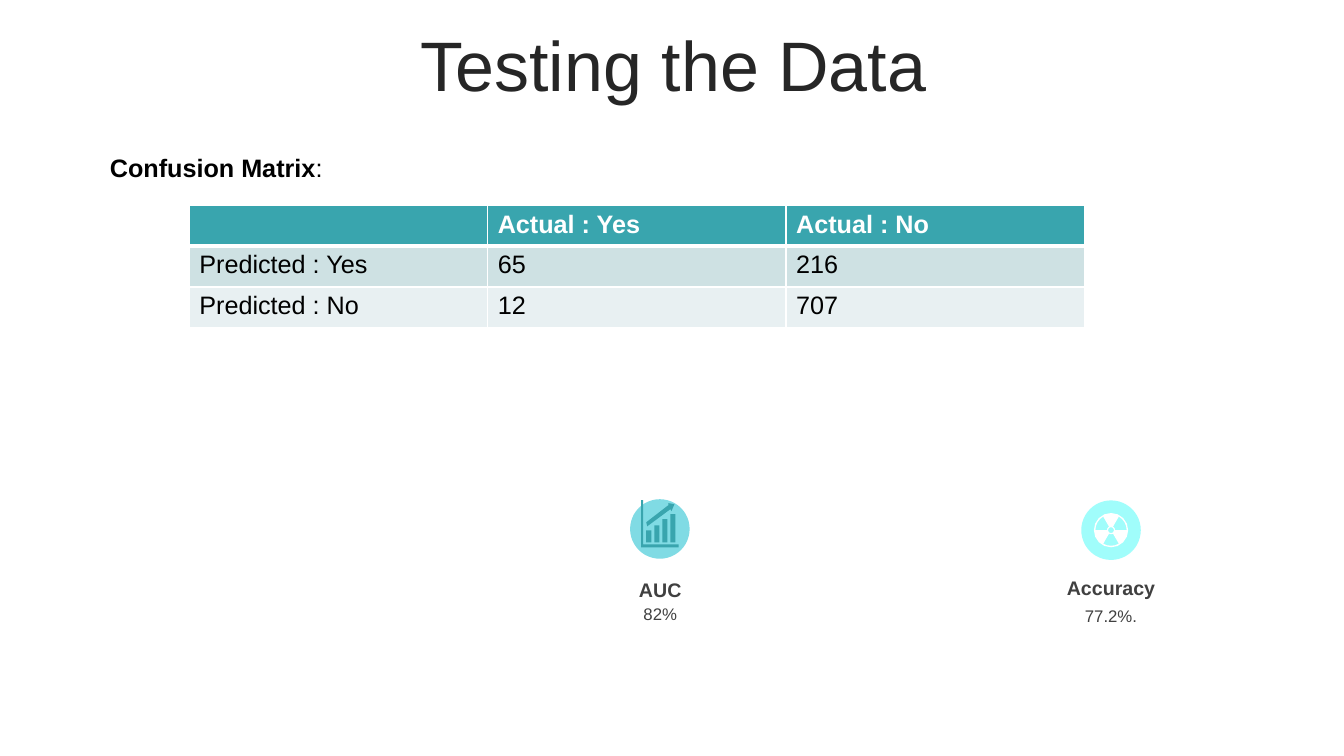
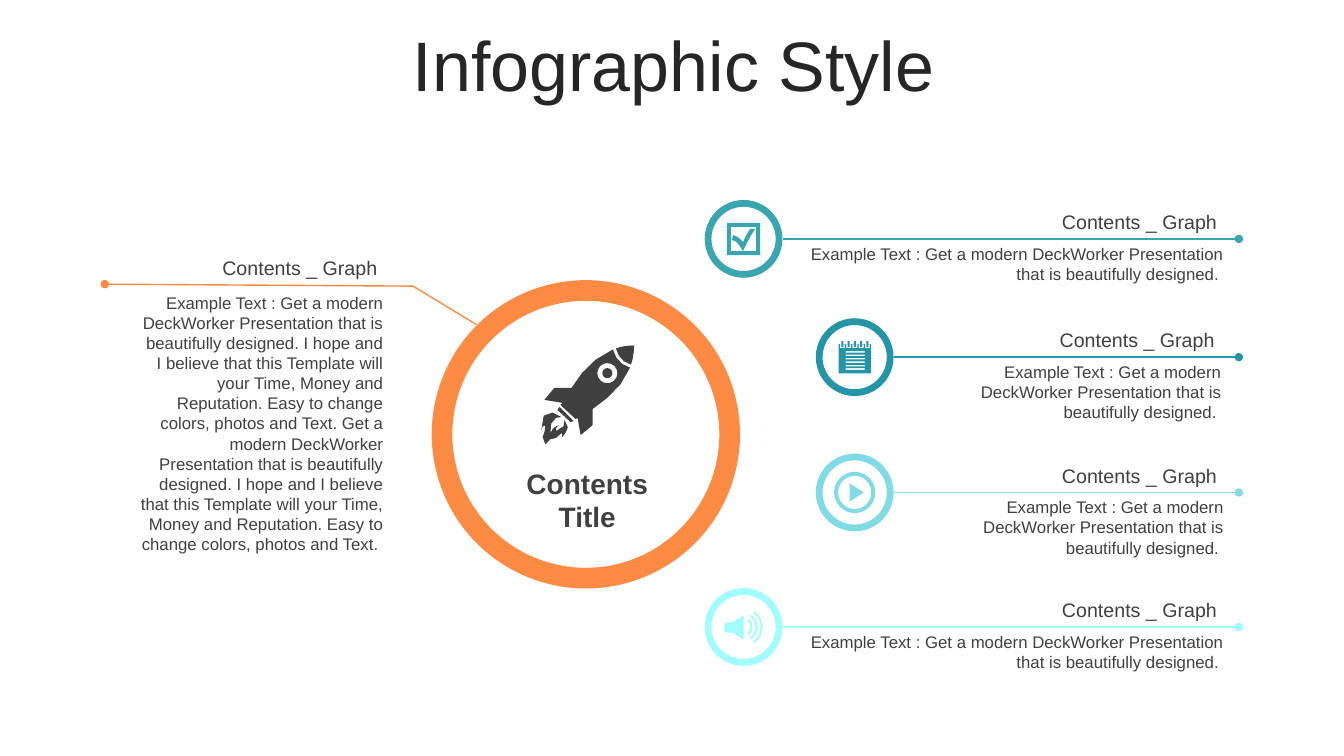
from math import cos, radians, sin

from lxml import etree
from pptx import Presentation
from pptx.dml.color import RGBColor
from pptx.enum.shapes import MSO_CONNECTOR, MSO_SHAPE
from pptx.enum.text import MSO_ANCHOR, MSO_AUTO_SIZE, PP_ALIGN
from pptx.oxml.ns import qn
from pptx.util import Cm, Pt

LEFT, CENTER, RIGHT = PP_ALIGN.LEFT, PP_ALIGN.CENTER, PP_ALIGN.RIGHT
TOP, MIDDLE = MSO_ANCHOR.TOP, MSO_ANCHOR.MIDDLE
NO_FIT = MSO_AUTO_SIZE.NONE
OVAL, DONUT = MSO_SHAPE.OVAL, MSO_SHAPE.DONUT
STRAIGHT = MSO_CONNECTOR.STRAIGHT

FONT = "Arial"
INK, GRAY, BLACK, WHITE = "262626", "404040", "000000", "FFFFFF"
TEAL, DEEP, SKY, AQUA, ORANGE = "39A5AE", "2395A6", "80DBE4", "A0FDFB", "FE8B44"
BANDS = (TEAL, "CEE1E3", "E8F0F2")
GRID = 2.54 / 100

HEAD = "Contents _ Graph "
PITCH = "Get a modern DeckWorker Presentation that is beautifully designed. "
MORE = ("I hope and I believe that this Template will your Time, Money and "
        "Reputation. Easy to change colors, photos and Text. ")
SHORT = f"Example Text : {PITCH}"
LONG = f"{SHORT}{MORE}{PITCH}{MORE}"


def color(code):
    return RGBColor.from_string(code)


def box(x, y, w, h):
    return [(x, y), (x + w, y), (x + w, y + h), (x, y + h)]


def arc(x, y, r, start, end, steps):
    turns = [radians(start + (end - start) * i / steps) for i in range(steps + 1)]
    return [(x + r * cos(t), y + r * sin(t)) for t in turns]


def ring(x, y, r, steps=16):
    return arc(x, y, r, 0, 360, steps)[:-1]


def sector(x, y, inner, outer, start, end):
    return arc(x, y, outer, start, end, 4) + arc(x, y, inner, end, start, 4)


def trace(*parts):
    points = []
    for part in parts:
        if len(part) == 2:
            points.append(part)
            continue
        a, b = points[-1]
        c, d, e, f, g, h = part
        for i in range(1, 4):
            t = i / 3
            u = 1 - t
            k = (u ** 3, 3 * u * u * t, 3 * u * t * t, t ** 3)
            points.append((
                k[0] * a + k[1] * c + k[2] * e + k[3] * g,
                k[0] * b + k[1] * d + k[2] * f + k[3] * h,
            ))
    return points


BARS = [
    *(box(5 + 8 * i, 42 - h, 5, h) for i, h in enumerate((12, 17, 23, 28))),
    [(27, 3), (33, 4), (30, 11), (29, 9), (6, 26), (5, 22), (27, 5)],
    [(0, 0), (2, 0), (2, 44), (37, 44), (37, 47), (0, 47)],
]
ATOM = [
    ring(17, 17, 17),
    ring(17, 17, 3, 8),
    *(sector(17, 17, 4, 15.5, a, a + 60) for a in (60, 180, 300)),
]
CHECK = [
    box(0, 0, 33, 32),
    trace(
        (4, 4), (4, 28), (16, 28), (13, 24, 10, 17, 5, 17), (6, 12),
        (12, 14, 13, 16, 16, 19), (18, 14, 20, 11, 23, 6), (28, 6),
        (24, 12, 19, 21, 16, 28), (29, 28), (29, 4),
    ),
]
NOTE = [
    box(0, 3, 32, 29),
    *(box(7, 10 + 3.4 * i, 19, 1.5) for i in range(6)),
    *(box(1.3 + 6.2 * i, 3, 5, 4) for i in range(5)),
    *(box(2.8 + 6.2 * i, 0, 2, 6) for i in range(5)),
]
PLAY = [ring(20, 20, 20.5, 24), ring(20, 20, 16.5, 24), [(15, 11), (29, 20), (15, 29)]]
SOUND = [
    trace(
        (19, 8), (19, 32), (8, 25), (3, 25), (1, 25, 0, 24, 0, 22),
        (0, 18), (0, 16, 1, 15, 3, 15), (8, 15),
    ),
    *(sector(18, 19.5, r, r + 2, -53, 53) for r in (8, 13, 18)),
]
ROCKET = [
    trace(
        (20, 71), (15, 69, 7, 76, 9, 87), (11, 81, 15, 80, 18, 79),
        (17, 80, 13, 81, 15, 85), (18, 80, 24, 84, 23, 74),
        (30, 83, 24, 85, 21, 91), (20, 90, 21, 84, 20, 87),
        (15, 96, 8, 89, 4, 98), (-3, 90, 6, 85, 4, 80),
        (3, 79, 1, 79, 0, 84), (-3, 63, 13, 64, 20, 71),
    ),
    [(18, 61), (32, 75), (29, 76), (16, 64)],
    ring(65.5, 27.5, 5),
    ring(65.5, 27.5, 10),
    trace(
        (71, 4), (73, 13, 80, 20, 88, 22), (81, 41, 65, 53, 51, 63), (51, 79),
        (39, 89), (36, 72), (34, 73), (19, 59), (21, 57), (3, 54), (13, 42),
        (30, 42), (39, 27, 52, 12, 71, 4),
    ),
    trace(
        (92, 0), (92, 7, 91, 13, 89, 19), (81, 17, 76, 11, 74, 3),
        (79, 1, 85, 0, 92, 0),
    ),
]


class Deck:
    def __init__(self):
        self.file = Presentation()
        self.file.slide_width, self.file.slide_height = Cm(33.87), Cm(19.05)
        self.slide = None

    def style(self, line, size, code, bold=False, align=LEFT):
        line.alignment = align
        font = line.font
        font.name, font.size, font.bold = FONT, Pt(size), bold
        font.color.rgb = color(code)

    def start(self, title):
        self.slide = self.file.slides.add_slide(self.file.slide_layouts[5])
        shape = self.slide.shapes.title
        shape.left, shape.top = Cm(0.9), Cm(0.79)
        shape.width, shape.height = Cm(32.16), Cm(2.01)
        frame = shape.text_frame
        frame.text = title
        frame.auto_size = NO_FIT
        frame.vertical_anchor = MIDDLE
        line = frame.paragraphs[0]
        line.line_spacing, line.space_before = 0.8, Pt(10)
        self.style(line, 50, INK, align=CENTER)

    def text(self, x, y, w, h, words, size, code=GRAY, bold=False,
             align=CENTER, anchor=TOP):
        frame = self.slide.shapes.add_textbox(Cm(x), Cm(y), Cm(w), Cm(h)).text_frame
        frame.word_wrap = True
        frame.vertical_anchor = anchor
        frame.text = words
        for line in frame.paragraphs:
            self.style(line, size, code, bold, align)
        return frame.paragraphs[-1]

    def paint(self, shape, code):
        shape.shadow.inherit = False
        shape.fill.solid()
        shape.fill.fore_color.rgb = color(code)
        shape.line.fill.background()

    def round(self, x, y, size, code, rim=None):
        kind = DONUT if rim else OVAL
        shape = self.slide.shapes.add_shape(kind, Cm(x), Cm(y), Cm(size), Cm(size))
        if rim:
            shape.adjustments[0] = rim
        self.paint(shape, code)

    def icon(self, x, y, paths, code):
        spots = [spot for path in paths for spot in path]
        mid_x, mid_y = ((min(v) + max(v)) / 2 for v in zip(*spots))
        loops = [
            [(Cm(x + (a - mid_x) * GRID), Cm(y + (b - mid_y) * GRID)) for a, b in path]
            for path in paths
        ]
        pen = self.slide.shapes.build_freeform(*loops[0][0])
        for i, loop in enumerate(loops):
            if i:
                pen.move_to(*loop[0])
            pen.add_line_segments(loop[1:], close=True)
        self.paint(pen.convert_to_shape(), code)

    def line(self, x, y, to_x, to_y, code, dot=None):
        rule = self.slide.shapes.add_connector(
            STRAIGHT, Cm(x), Cm(y), Cm(to_x), Cm(to_y))
        rule.line.width = Pt(1)
        rule.line.color.rgb = color(code)
        props = rule.element.spPr
        if dot:
            etree.SubElement(props.find(qn("a:ln")), qn(f"a:{dot}"), type="oval")
        etree.SubElement(props, qn("a:effectLst"))

    def edge(self, cell, side, width):
        line = etree.Element(qn(f"a:{side}"), w=str(Pt(width)))
        fill = etree.SubElement(line, qn("a:solidFill"))
        etree.SubElement(fill, qn("a:srgbClr"), val=WHITE)
        cell._tc.get_or_add_tcPr().insert(0, line)

    def table(self, x, y, wide, high, rows):
        grid = self.slide.shapes.add_table(
            len(rows), len(rows[0]), Cm(x), Cm(y),
            Cm(wide * len(rows[0])), Cm(high * len(rows))).table
        for i, row in enumerate(rows):
            for j, words in enumerate(row):
                cell = grid.cell(i, j)
                cell.text = words
                cell.fill.solid()
                cell.fill.fore_color.rgb = color(BANDS[i])
                top = i == 0
                if top:
                    self.edge(cell, "lnB", 3)
                self.style(cell.text_frame.paragraphs[0], 18,
                           WHITE if top else BLACK, top)

    def score(self, x, y, name, low, value):
        self.text(x, y, 6.78, 0.86, name, 14, bold=True, anchor=MIDDLE)
        self.text(x, low, 6.78, 0.76, value, 12)

    def item(self, x, y, edge, wide, paths, code):
        size = 1.96
        mid, left = y + size / 2, edge - wide
        self.round(x, y, size, code, 0.087)
        self.icon(x + size / 2, mid, paths, code)
        self.line(x + size, mid, 31.22, mid, code, "tailEnd")
        self.text(left - 0.03, y + 0.13, wide, 0.86, HEAD, 14, align=RIGHT)
        self.text(left, y + 0.97, wide, 1.27, SHORT, 12, align=RIGHT)


def main():
    deck = Deck()

    deck.start("Testing the Data")
    label = deck.text(2.52, 3.71, 7.7, 1.02, "Confusion Matrix", 18, BLACK, True, LEFT)
    colon = label.add_run()
    colon.text = ":"
    colon.font.bold = False
    deck.table(4.77, 5.17, 7.52, 1.03, [
        ("", "Actual : Yes", "Actual : No"),
        ("Predicted : Yes", "65", "216"),
        ("Predicted : No", "12", "707"),
    ])
    deck.round(15.88, 12.58, 1.5, SKY)
    deck.icon(16.63, 13.2, BARS, TEAL)
    deck.score(13.25, 14.43, "AUC", 15.09, "82%")
    deck.round(27.25, 12.61, 1.5, AQUA)
    deck.icon(28, 13.36, ATOM, WHITE)
    deck.score(24.61, 14.38, "Accuracy", 15.14, "77.2%.")

    deck.start("Infographic Style")
    deck.round(10.88, 7.06, 7.77, ORANGE, 0.067)
    deck.icon(14.81, 9.95, ROCKET, GRAY)
    deck.text(12.78, 11.62, 4.04, 1.96, "Contents\nTitle", 20, bold=True)
    deck.text(3.2, 6.32, 6.7, 0.86, HEAD, 14, align=RIGHT)
    deck.text(3.2, 7.24, 6.71, 6.4, LONG, 12, align=RIGHT)
    deck.line(2.64, 7.16, 10.41, 7.21, ORANGE, "headEnd")
    deck.line(10.41, 7.21, 12.01, 8.18, ORANGE)
    for x, y, edge, wide, paths, code in (
        (17.76, 5.04, 31.09, 11.25, CHECK, TEAL),
        (20.56, 8.02, 31.03, 8.31, NOTE, DEEP),
        (20.56, 11.43, 31.09, 8.31, PLAY, SKY),
        (17.76, 14.82, 31.09, 11.25, SOUND, AQUA),
    ):
        deck.item(x, y, edge, wide, paths, code)

    deck.file.save("out.pptx")


if __name__ == "__main__":
    main()
